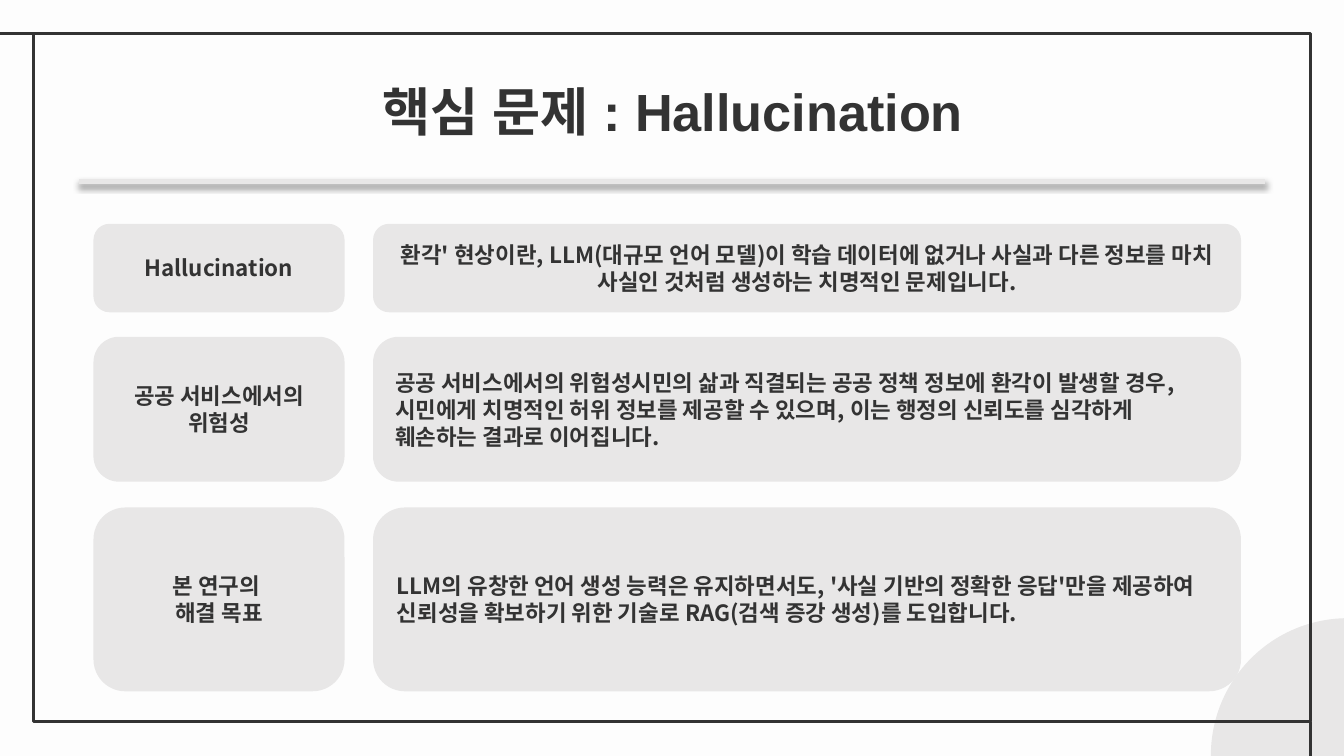
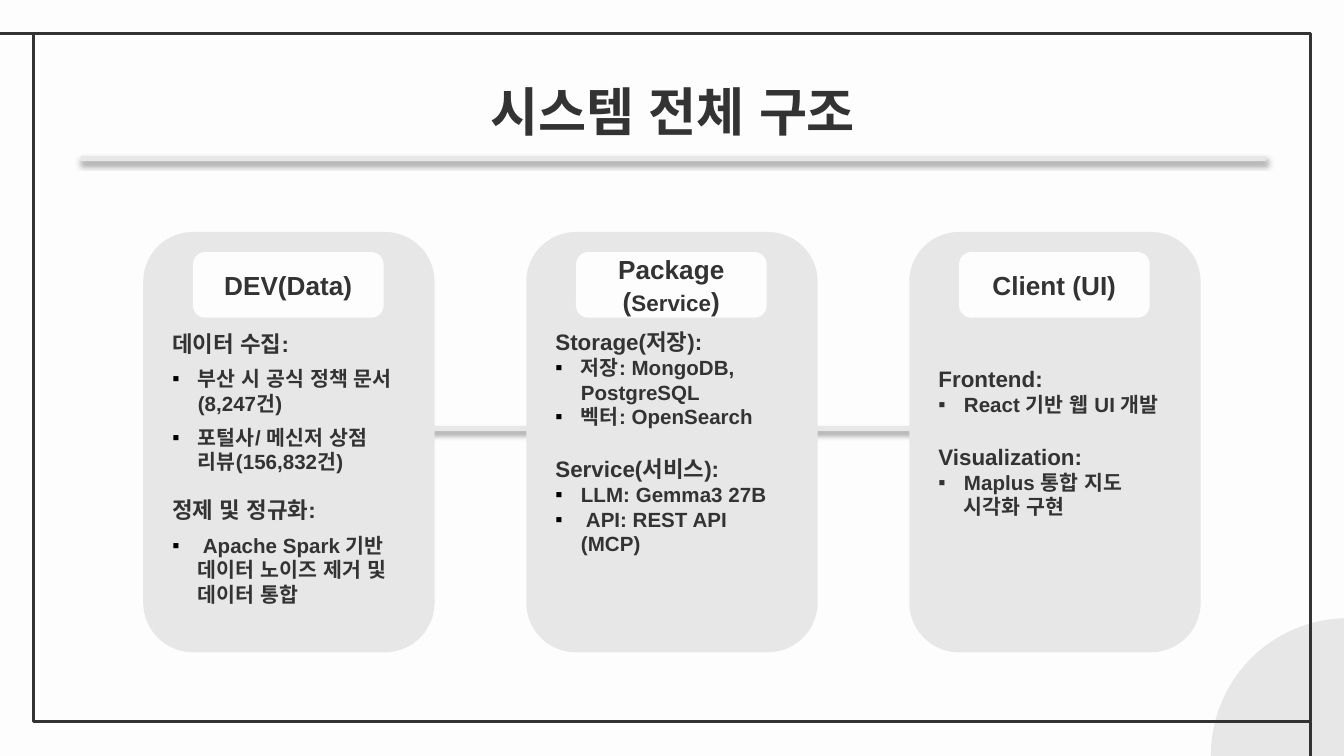
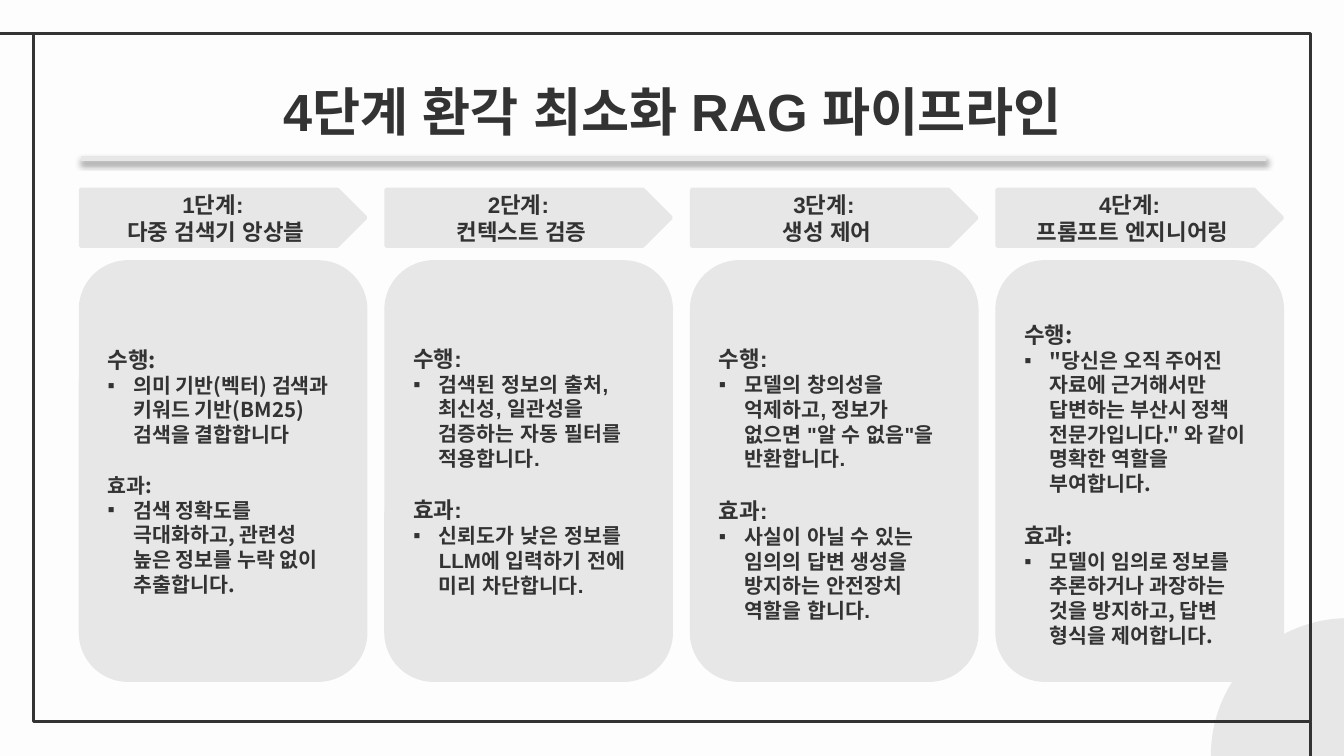
"""Build three slides on reducing hallucination with a RAG pipeline."""
import dataclasses

import lxml.etree
import pptx
import pptx.dml.color
import pptx.enum.shapes
import pptx.enum.text
import pptx.oxml.ns
import pptx.util

Inches = pptx.util.Inches
Pt = pptx.util.Pt
Shape = pptx.enum.shapes.MSO_SHAPE
Align = pptx.enum.text.PP_ALIGN
Anchor = pptx.enum.text.MSO_ANCHOR


@dataclasses.dataclass(frozen=True)
class Theme:
    paper: str = "FDFDFD"
    panel: str = "E8E7E7"
    ink: str = "333333"
    black: str = "000000"
    latin: str = "Arial"
    korean: str = "Noto Sans CJK KR"
    title: float = 28
    badge: float = 14
    heading: float = 12
    item: float = 11
    frame_line: float = 1.5
    panel_line: float = 2
    rule_line: float = 3
    indent: float = 0.19
    section_gap: float = 14


@dataclasses.dataclass(frozen=True)
class Line:
    runs: tuple
    bullet: bool = False
    gap: float = 0


THEME = Theme()


def heading(text, gap=0, size=THEME.heading):
    return Line(((text, size),), gap=gap)


def item(text, gap=0):
    return Line(((text, THEME.item),), bullet=True, gap=gap)


def rgb(color):
    return pptx.dml.color.RGBColor.from_string(color)


def add_child(parent, tag, **attributes):
    return lxml.etree.SubElement(parent, pptx.oxml.ns.qn(tag), attributes)


def spread(first, last, count):
    return [first + (last - first) / (count - 1) * index for index in range(count)]


def add_bullet(paragraph, color):
    properties = paragraph._p.get_or_add_pPr()
    properties.set("marL", str(Inches(THEME.indent)))
    properties.set("indent", str(-Inches(THEME.indent)))
    add_child(add_child(properties, "a:buClr"), "a:srgbClr", val=color)
    add_child(properties, "a:buFont", typeface=THEME.latin)
    add_child(properties, "a:buChar", char="▪")


def write_text(frame, lines, font=THEME.latin, align=Align.LEFT, anchor=Anchor.MIDDLE,
               bullet_color=THEME.ink, lead=0):
    frame.word_wrap = True
    frame.auto_size = pptx.enum.text.MSO_AUTO_SIZE.NONE
    frame.vertical_anchor = anchor
    frame.margin_top = frame.margin_top + Pt(lead)
    for index, line in enumerate(lines):
        paragraph = frame.paragraphs[0] if index == 0 else frame.add_paragraph()
        if line.bullet:
            add_bullet(paragraph, bullet_color)
        paragraph.alignment = align
        if line.gap:
            paragraph.space_before = Pt(line.gap)
        for text, size in line.runs:
            run = paragraph.add_run()
            run.text = text
            run.font.name = font
            run.font.size = Pt(size)
            run.font.bold = True
            run.font.color.rgb = rgb(THEME.ink)
            add_child(run._r.get_or_add_rPr(), "a:ea", typeface=font)


class Deck:
    def __init__(self):
        self.presentation = pptx.Presentation()
        self.presentation.slide_width = Inches(10)
        self.presentation.slide_height = Inches(10) * 9 // 16
        self.layout = self.presentation.slide_layouts.get_by_name("Title Only")
        background = self.presentation.slide_master.background.fill
        background.solid()
        background.fore_color.rgb = rgb(THEME.paper)
        self.slide = None

    def add_slide(self, title, rule_left, rule_top):
        is_first = self.slide is None
        self.slide = self.presentation.slides.add_slide(self.layout)
        if is_first:
            self.add_frame_to_layout()
        placeholder = self.slide.shapes.title
        placeholder.left, placeholder.top = Inches(0.79), Inches(0.49)
        placeholder.width, placeholder.height = Inches(8.43), Inches(0.63)
        frame = placeholder.text_frame
        frame.margin_left = frame.margin_right = Inches(0.1)
        frame.margin_top = frame.margin_bottom = Inches(0.1)
        write_text(frame, [heading(title, size=THEME.title)], align=Align.CENTER,
                   anchor=Anchor.TOP)
        self.add_rule(rule_left, rule_left + 8.82, rule_top)

    def add_frame_to_layout(self):
        corner = self.add_shape(Shape.OVAL, 9.01, 4.6, 2.04, 2.04, line=None)
        border = self.add_shape(Shape.RECTANGLE, 0.25, 0.25, 9.5, 5.12, fill=None,
                                line=THEME.ink, line_width=THEME.frame_line)
        top = self.add_line(0.26, 0.25, -0.02, 0.25)
        side = self.add_line(9.75, 5.37, 9.75, 5.75)
        for part in (corner, border, top, side):
            self.layout.shapes.element.append(part.element)

    def add_shape(self, kind, left, top, width, height, fill=THEME.panel,
                  line=THEME.panel, line_width=THEME.panel_line):
        shape = self.slide.shapes.add_shape(
            kind, Inches(left), Inches(top), Inches(width), Inches(height))
        shape.shadow.inherit = False
        if fill:
            shape.fill.solid()
            shape.fill.fore_color.rgb = rgb(fill)
        else:
            shape.fill.background()
        if line:
            shape.line.color.rgb = rgb(line)
            shape.line.width = Pt(line_width)
        else:
            shape.line.fill.background()
        return shape

    def add_box(self, kind, left, top, width, height, lines, fill=THEME.panel, **text_format):
        shape = self.add_shape(kind, left, top, width, height, fill=fill, line=fill)
        write_text(shape.text_frame, lines, **text_format)

    def add_line(self, left, top, right, bottom, color=THEME.ink, width=THEME.frame_line):
        line = self.slide.shapes.add_connector(
            pptx.enum.shapes.MSO_CONNECTOR.STRAIGHT,
            Inches(left), Inches(top), Inches(right), Inches(bottom))
        line.line.color.rgb = rgb(color)
        line.line.width = Pt(width)
        add_child(line.element.spPr, "a:effectLst")
        return line

    def add_rule(self, left, right, top):
        line = self.add_line(left, top, right, top, THEME.panel, THEME.rule_line)
        effects = line.element.spPr.find(pptx.oxml.ns.qn("a:effectLst"))
        shadow = add_child(effects, "a:outerShdw", blurRad=str(Pt(3.1)), dist=str(Pt(1.8)),
                           dir="5400000", algn="t", rotWithShape="0")
        color = add_child(shadow, "a:srgbClr", val=THEME.black)
        add_child(color, "a:alpha", val="35000")


def build_problem(deck):
    deck.add_slide("핵심 문제 : Hallucination", 0.59, 1.35)
    rows = [
        (1.68, 0.63, ["Hallucination"], Align.CENTER,
         "환각' 현상이란, LLM(대규모 언어 모델)이 학습 데이터에 없거나 사실과 다른 정보를 "
         "마치 사실인 것처럼 생성하는 치명적인 문제입니다."),
        (2.52, 1.05, ["공공 서비스에서의 위험성"], Align.LEFT,
         "공공 서비스에서의 위험성시민의 삶과 직결되는 공공 정책 정보에 환각이 발생할 경우, "
         "시민에게 치명적인 허위 정보를 제공할 수 있으며, 이는 행정의 신뢰도를 심각하게 "
         "훼손하는 결과로 이어집니다."),
        (3.79, 1.34, ["본 연구의 ", "해결 목표"], Align.LEFT,
         "LLM의 유창한 언어 생성 능력은 유지하면서도, '사실 기반의 정확한 응답'만을 "
         "제공하여 신뢰성을 확보하기 위한 기술로 RAG(검색 증강 생성)를 도입합니다."),
    ]
    for top, height, labels, align, description in rows:
        deck.add_box(Shape.ROUNDED_RECTANGLE, 0.71, top, 1.84, height,
                     [heading(label) for label in labels],
                     font=THEME.korean, align=Align.CENTER)
        deck.add_box(Shape.ROUNDED_RECTANGLE, 2.79, top, 6.43, height,
                     [heading(description)], font=THEME.korean, align=align)


def build_architecture(deck):
    deck.add_slide("시스템 전체 구조", 0.6, 1.18)
    deck.add_rule(2.74, 7.33, 3.19)
    gap = THEME.section_gap
    tiers = [
        ([heading("DEV(Data)", size=THEME.badge)], THEME.black, 2 * gap, [
            heading("데이터 수집:"),
            item("부산 시 공식 정책 문서(8,247건)", 5),
            item("포털사/ 메신저 상점 리뷰(156,832건)", 5),
            heading("정제 및 정규화:", 12),
            item(" Apache Spark 기반 데이터 노이즈 제거 및 데이터 통합", 5)]),
        ([heading("Package", size=THEME.badge),
          Line((("(", THEME.badge), ("Service", THEME.heading), (")", THEME.badge)))],
         THEME.black, 0, [
            heading("Storage(저장):"),
            item("저장: MongoDB, PostgreSQL"),
            item("벡터: OpenSearch"),
            heading("Service(서비스):", gap),
            item("LLM: Gemma3 27B"),
            item(" API: REST API (MCP)")]),
        ([heading("Client (UI)", size=THEME.badge)], THEME.ink, 0, [
            heading("Frontend:"),
            item("React 기반 웹 UI 개발"),
            heading("Visualization:", gap),
            item("Maplus 통합 지도 시각화 구현")]),
    ]
    for left, (badge, bullet_color, lead, lines) in zip(spread(1.08, 6.78, 3), tiers):
        deck.add_box(Shape.ROUNDED_RECTANGLE, left, 1.74, 2.14, 3.1, lines,
                     bullet_color=bullet_color, lead=lead)
        deck.add_box(Shape.ROUNDED_RECTANGLE, left + 0.37, 1.89, 1.39, 0.46, badge,
                     fill=THEME.paper, align=Align.CENTER)


def build_pipeline(deck):
    deck.add_slide("4단계 환각 최소화 RAG 파이프라인", 0.6, 1.18)
    stages = [
        ("다중 검색기 앙상블", THEME.korean, 0, THEME.item,
         "의미 기반(벡터) 검색과 키워드 기반(BM25) 검색을 결합합니다",
         "검색 정확도를 극대화하고, 관련성 높은 정보를 누락 없이 추출합니다."),
        ("컨텍스트 검증", THEME.latin, 0, THEME.heading,
         "검색된 정보의 출처, 최신성, 일관성을 검증하는 자동 필터를 적용합니다.",
         "신뢰도가 낮은 정보를 LLM에 입력하기 전에 미리 차단합니다."),
        ("생성 제어", THEME.latin, THEME.section_gap, THEME.heading,
         "모델의 창의성을 억제하고, 정보가 없으면 \"알 수 없음\"을 반환합니다.",
         "사실이 아닐 수 있는 임의의 답변 생성을 방지하는 안전장치 역할을 합니다."),
        ("프롬프트 엔지니어링", THEME.korean, THEME.section_gap, THEME.heading,
         "\"당신은 오직 주어진 자료에 근거해서만 답변하는 부산시 정책 전문가입니다.\" 와 "
         "같이 명확한 역할을 부여합니다.",
         "모델이 임의로 정보를 추론하거나 과장하는 것을 방지하고, 답변 형식을 제어합니다."),
    ]
    lefts = spread(0.6, 7.42, len(stages))
    for number, (left, stage) in enumerate(zip(lefts, stages), start=1):
        name, font, lead, effect_size, action, effect = stage
        deck.add_box(Shape.PENTAGON, left, 1.41, 2.12, 0.42,
                     [heading(f"{number}단계: "), heading(name)], align=Align.CENTER)
        lines = [heading("수행:"), item(action),
                 heading("효과:", THEME.section_gap, effect_size), item(effect)]
        deck.add_box(Shape.ROUNDED_RECTANGLE, left, 1.95, 2.12, 3.11, lines,
                     font=font, lead=lead)


def main():
    deck = Deck()
    build_problem(deck)
    build_architecture(deck)
    build_pipeline(deck)
    deck.presentation.save("out.pptx")


if __name__ == "__main__":
    main()
